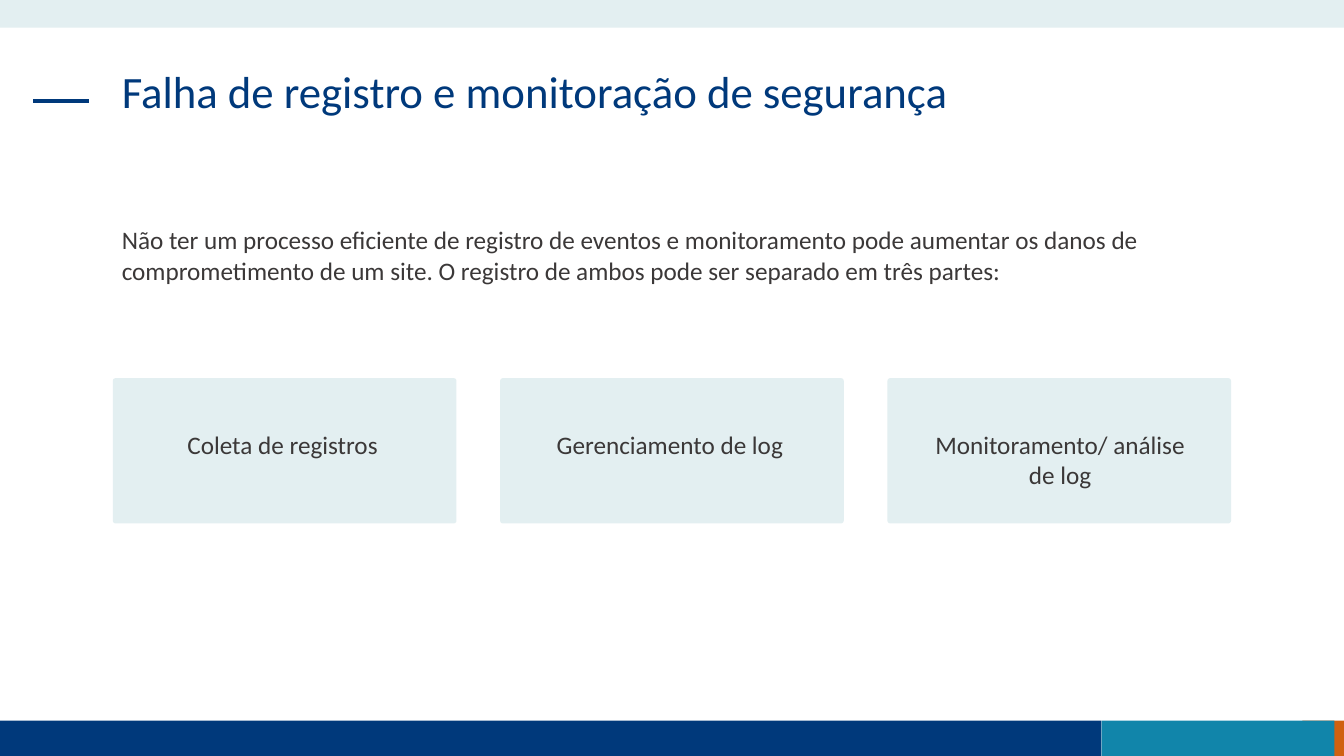
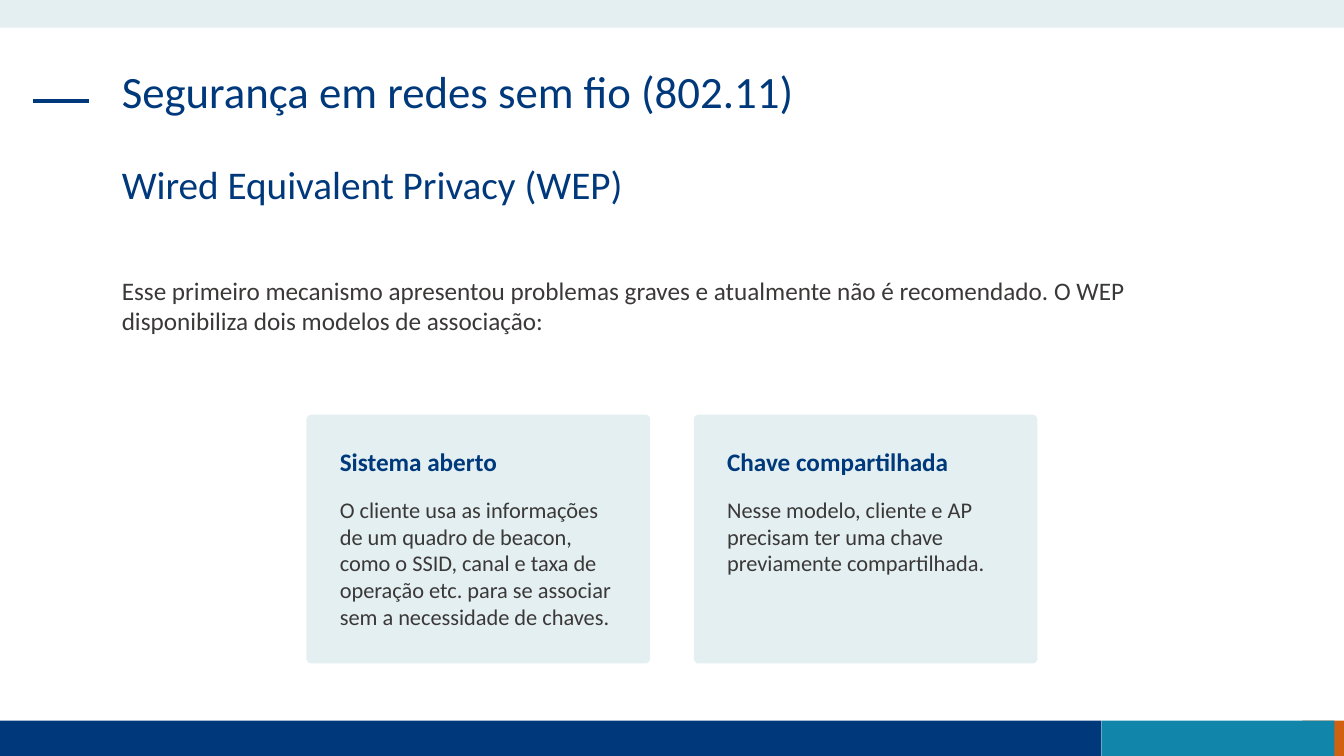
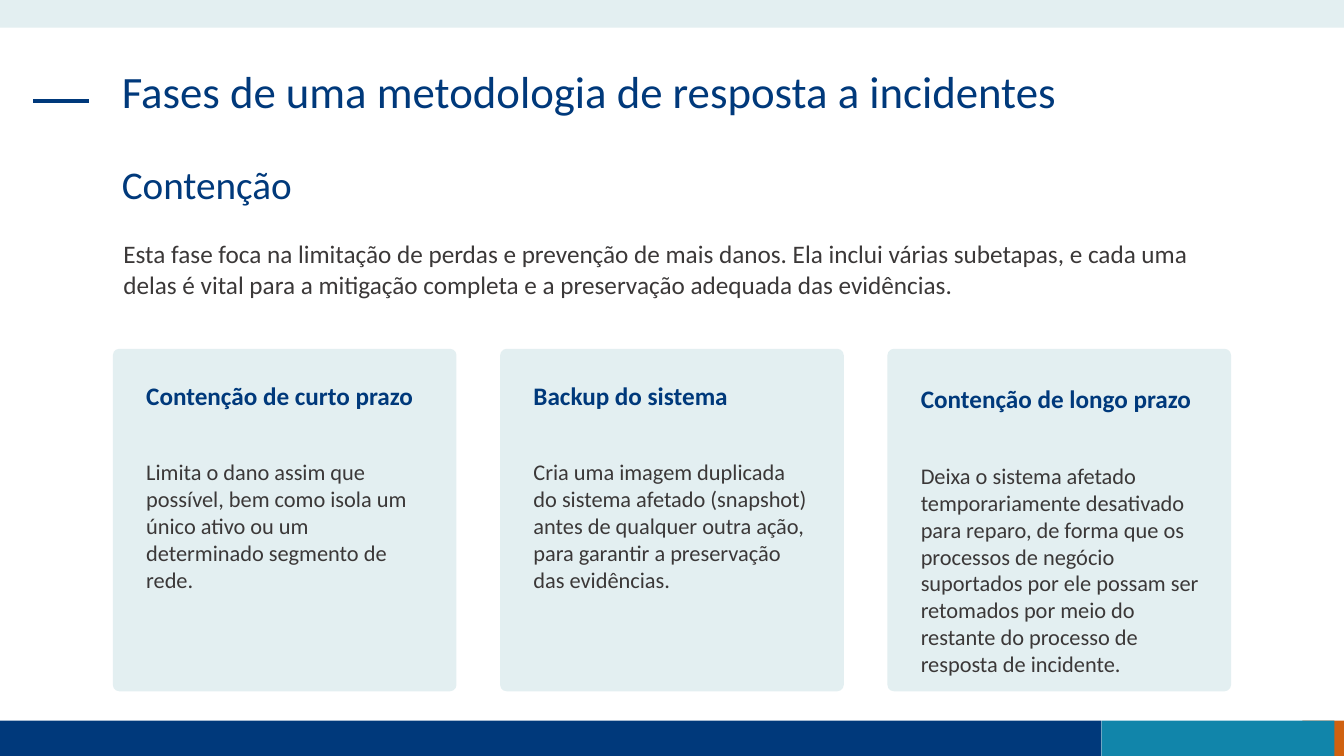
from lxml import etree
from pptx import Presentation
from pptx.dml.color import RGBColor
from pptx.enum.shapes import MSO_CONNECTOR, MSO_SHAPE
from pptx.enum.text import PP_ALIGN
from pptx.oxml.ns import qn
from pptx.util import Cm, Pt

RECT = MSO_SHAPE.RECTANGLE
ROUNDED = MSO_SHAPE.ROUNDED_RECTANGLE
STRAIGHT = MSO_CONNECTOR.STRAIGHT
LEFT, CENTER = PP_ALIGN.LEFT, PP_ALIGN.CENTER

COLORS = {
    "navy": "00397B",
    "teal": "1185AA",
    "orange": "D06110",
    "pale": "E3EFF1",
    "ink": "3B3838",
}
FONT = "Calibri"

# Lengths in centimetres
SLIDE_W, SLIDE_H = 33.87, 19.05
MARGIN, CONTENT_W = 2.82, 28.19
FOOTER_TOP = 18.16
CARD_W, CARD_GAP = 8.66, 1.1
CARD_PAD, CARD_TEXT_W = 0.59, 7.52


def color(name):
    return RGBColor.from_string(COLORS[name])


def write(frame, text, size=18, ink="ink", bold=False, align=LEFT, spacing=1.0):
    """Put one formatted paragraph into a text frame."""
    frame.word_wrap = True
    paragraph = frame.paragraphs[0]
    paragraph.alignment = align
    paragraph.line_spacing = spacing
    run = paragraph.add_run()
    run.text = text
    run.font.name = FONT
    run.font.size = Pt(size)
    run.font.bold = bold
    run.font.color.rgb = color(ink)


class Deck:
    """Holds the shared style and the slide being built."""

    def __init__(self):
        self.prs = Presentation()
        self.prs.slide_width = Cm(SLIDE_W)
        self.prs.slide_height = Cm(SLIDE_H)
        self.slide = None

    def new_slide(self, title, subtitle=None):
        self.slide = self.prs.slides.add_slide(self.prs.slide_layouts[6])
        # Footer and top bands
        footer_h = SLIDE_H - FOOTER_TOP
        self.block(32.82, FOOTER_TOP, 1.05, footer_h, "orange")
        self.block(0, FOOTER_TOP, 27.76, footer_h, "navy")
        self.block(27.76, FOOTER_TOP, 5.87, footer_h, "teal")
        self.block(0, 0, SLIDE_W, 0.7, "pale")
        # Headings
        self.rule(0.84, 2.24, 2.54)
        self.text(title, MARGIN, 1.63, CONTENT_W, 2.39,
                  size=32, ink="navy", spacing=0.9)
        if subtitle:
            self.text(subtitle, MARGIN, 4.04, CONTENT_W, 2.39,
                      size=28, ink="navy", spacing=0.9)

    def block(self, left, top, width, height, fill, kind=RECT):
        shape = self.slide.shapes.add_shape(
            kind, Cm(left), Cm(top), Cm(width), Cm(height))
        shape.shadow.inherit = False
        shape.fill.solid()
        shape.fill.fore_color.rgb = color(fill)
        shape.line.fill.background()
        return shape

    def rule(self, start, end, y):
        dash = self.slide.shapes.add_connector(
            STRAIGHT, Cm(start), Cm(y), Cm(end), Cm(y))
        dash.line.color.rgb = color("navy")
        dash.line.width = Pt(3)
        etree.SubElement(dash.element.spPr, qn("a:effectLst"))

    def text(self, text, left, top, width, height, **style):
        box = self.slide.shapes.add_textbox(
            Cm(left), Cm(top), Cm(width), Cm(height))
        write(box.text_frame, text, **style)

    def intro(self, text, top, left=MARGIN):
        self.text(text, left, top, CONTENT_W, 1.8)

    def card(self, left, top, height):
        panel = self.block(left, top, CARD_W, height, "pale", ROUNDED)
        panel.adjustments[0] = 0.019

    def card_lefts(self, count):
        """Left edges of a row of cards centred on the slide."""
        row_w = count * CARD_W + (count - 1) * CARD_GAP
        first = (SLIDE_W - row_w) / 2
        return [first + i * (CARD_W + CARD_GAP) for i in range(count)]

    def label_cards(self, labels, top, height):
        for left, label in zip(self.card_lefts(len(labels)), labels):
            self.card(left, top, height)
            self.text(label, left + CARD_PAD, top + 1.17, CARD_TEXT_W, 1.8,
                      align=CENTER)

    def detail_cards(self, entries, top, height, body_offset):
        """Each entry is heading, body and extra drop of its texts."""
        for left, (heading, body, drop) in zip(
                self.card_lefts(len(entries)), entries):
            self.card(left, top, height)
            text_left = left + CARD_PAD
            self.text(heading, text_left, top + 0.66 + drop, CARD_TEXT_W, 1.02,
                      ink="navy", bold=True)
            self.text(body, text_left, top + body_offset + drop, CARD_TEXT_W,
                      height - body_offset - drop, size=16)


def main():
    deck = Deck()

    # Logging and monitoring failures
    deck.new_slide("Falha de registro e monitoração de segurança")
    deck.intro("Não ter um processo eficiente de registro de eventos e "
               "monitoramento pode aumentar os danos de comprometimento de um "
               "site. O registro de ambos pode ser separado em três partes:",
               top=5.54)
    deck.label_cards(["Coleta de registros ", "Gerenciamento de log ",
                      "Monitoramento/ análise de log"], top=9.53, height=3.66)

    # Wireless security: WEP
    deck.new_slide("Segurança em redes sem fio (802.11)",
                   "Wired Equivalent Privacy (WEP)")
    deck.intro("Esse primeiro mecanismo apresentou problemas graves e "
               "atualmente não é recomendado. O WEP disponibiliza dois modelos "
               "de associação:", top=6.81)
    deck.detail_cards([
        ("Sistema aberto",
         "O cliente usa as informações de um quadro de beacon, como o SSID, "
         "canal e taxa de operação etc. para se associar sem a necessidade de "
         "chaves.", 0),
        ("Chave compartilhada",
         "Nesse modelo, cliente e AP precisam ter uma chave previamente "
         "compartilhada.", 0),
    ], top=10.45, height=6.27, body_offset=1.92)

    # Incident response: containment
    deck.new_slide("Fases de uma metodologia de resposta a incidentes",
                   "Contenção")
    deck.intro("Esta fase foca na limitação de perdas e prevenção de mais "
               "danos. Ela inclui várias subetapas, e cada uma delas é vital "
               "para a mitigação completa e a preservação adequada das "
               "evidências.", top=5.89, left=2.86)
    deck.detail_cards([
        ("Contenção de curto prazo",
         "Limita o dano assim que possível, bem como isola um único ativo ou "
         "um determinado segmento de rede.", 0),
        ("Backup do sistema",
         "Cria uma imagem duplicada do sistema afetado (snapshot) antes de "
         "qualquer outra ação, para garantir a preservação das evidências.", 0),
        ("Contenção de longo prazo",
         "Deixa o sistema afetado temporariamente desativado para reparo, de "
         "forma que os processos de negócio suportados por ele possam ser "
         "retomados por meio do restante do processo de resposta de "
         "incidente.", 0.09),
    ], top=8.79, height=8.63, body_offset=2.64)

    deck.prs.save("out.pptx")


if __name__ == "__main__":
    main()
